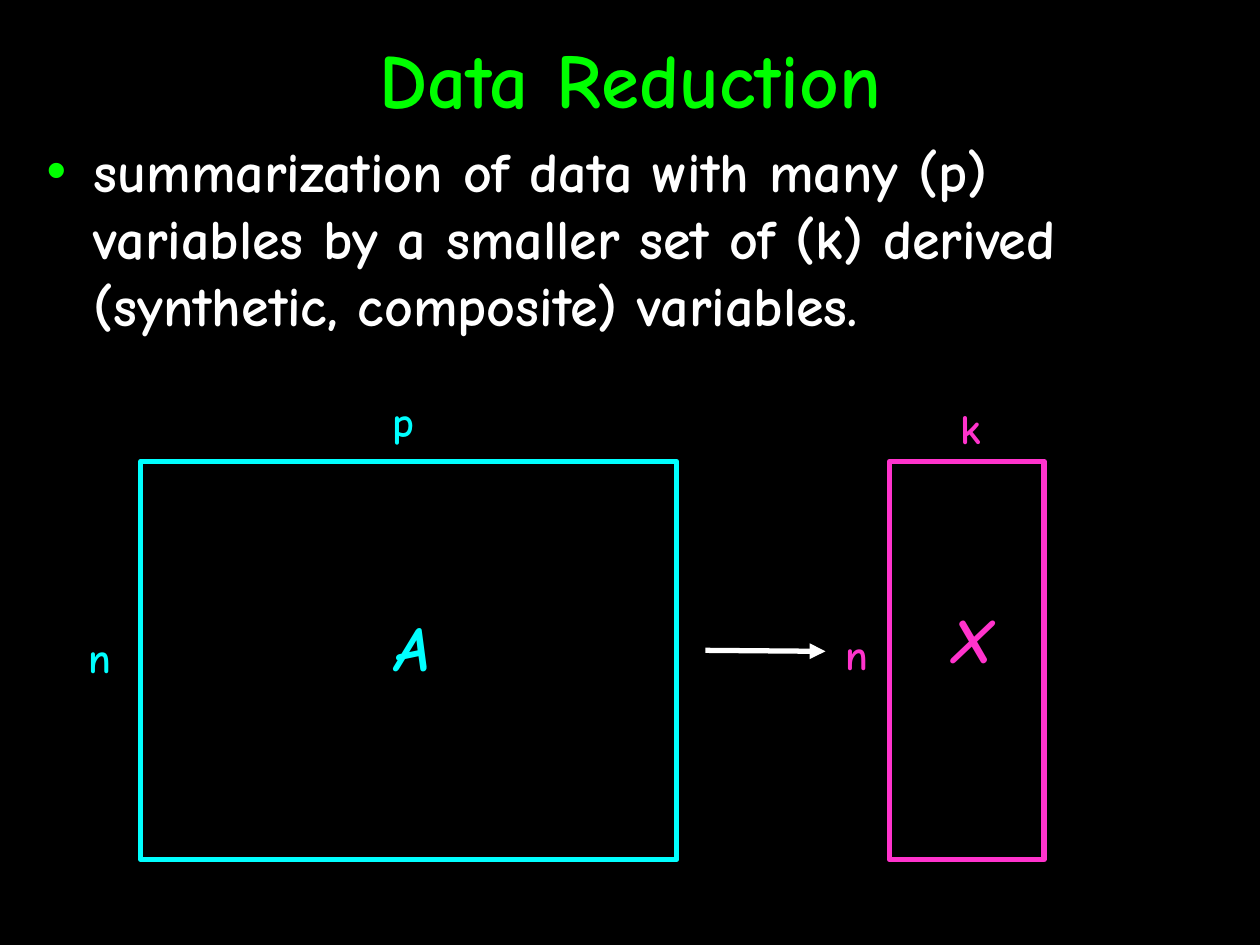
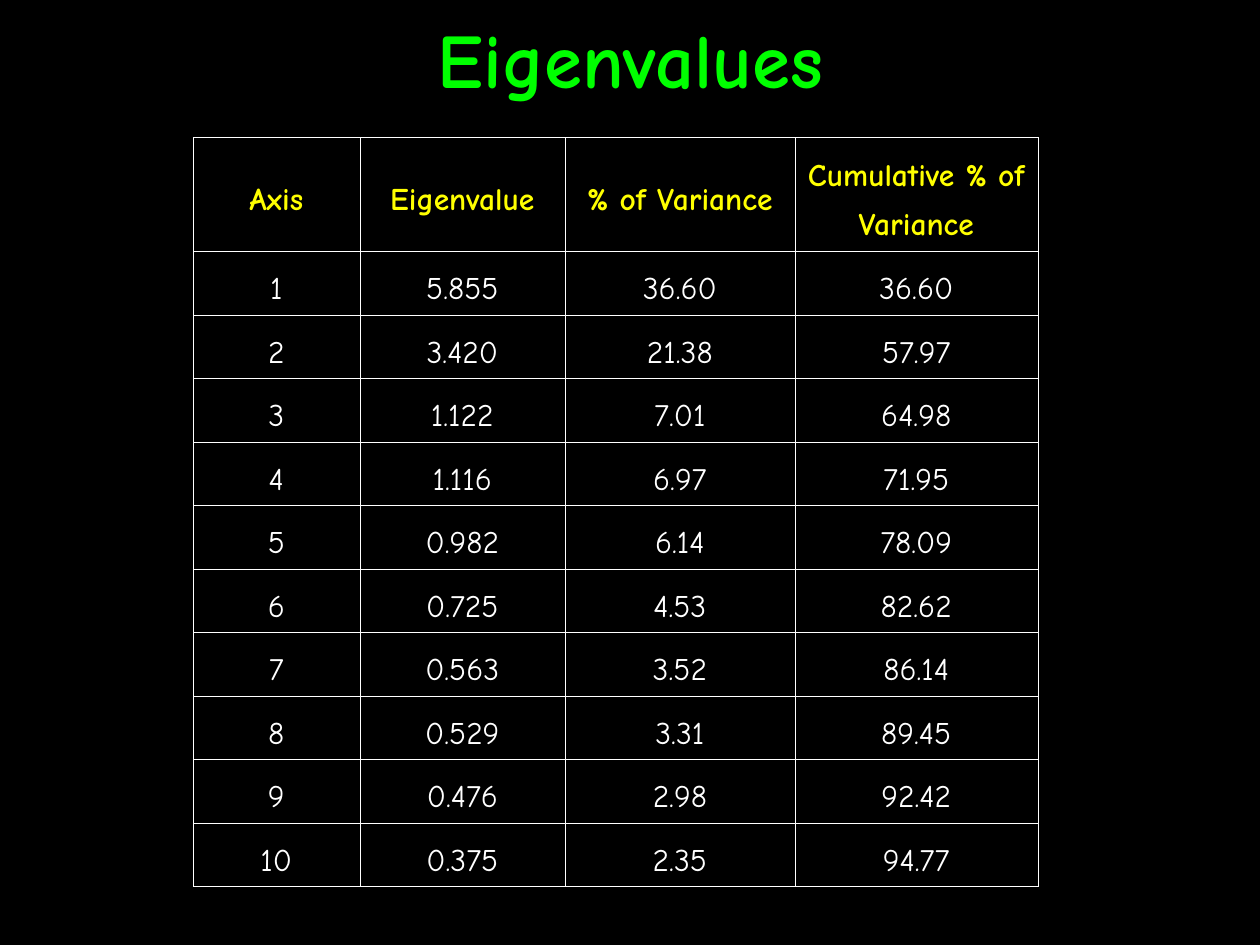
from lxml.etree import SubElement
from pptx import Presentation
from pptx.dml.color import RGBColor
from pptx.enum.shapes import MSO_CONNECTOR as Connector, MSO_SHAPE as Preset
from pptx.enum.text import MSO_ANCHOR as Anchor, MSO_AUTO_SIZE as AutoSize, PP_ALIGN as Align
from pptx.oxml.ns import qn
from pptx.util import Cm, Pt

BLACK = RGBColor(0x00, 0x00, 0x00)
WHITE = RGBColor(0xFF, 0xFF, 0xFF)
GREEN = RGBColor(0x00, 0xFF, 0x00)
CYAN = RGBColor(0x00, 0xFF, 0xFF)
PINK = RGBColor(0xFF, 0x33, 0xCC)
YELLOW = RGBColor(0xFF, 0xFF, 0x00)

HEADINGS = ("Axis", "Eigenvalue", "% of Variance", "Cumulative % of Variance")
EIGENVALUES = (
    ("1", "5.855", "36.60", "36.60"),
    ("2", "3.420", "21.38", "57.97"),
    ("3", "1.122", "7.01", "64.98"),
    ("4", "1.116", "6.97", "71.95"),
    ("5", "0.982", "6.14", "78.09"),
    ("6", "0.725", "4.53", "82.62"),
    ("7", "0.563", "3.52", "86.14"),
    ("8", "0.529", "3.31", "89.45"),
    ("9", "0.476", "2.98", "92.42"),
    ("10", "0.375", "2.35", "94.77"),
)


class Lecture:
    """Holds the lecture's style and the slide being built."""

    font_name = "Comic Neue"
    line_width = Pt(3)

    def __init__(self):
        self.deck = Presentation()
        self.deck.slide_width, self.deck.slide_height = Cm(25.4), Cm(19.05)
        fill = self.deck.slide_master.background.fill
        fill.solid()
        fill.fore_color.rgb = BLACK
        self.page = None

    def style(self, para, size, color, bold=True, italic=False, align=Align.CENTER):
        para.alignment = align
        font = para.font
        font.name, font.size = self.font_name, Pt(size)
        font.bold, font.italic = bold, italic
        font.color.rgb = color

    def add_page(self, title, title_height):
        self.page = self.deck.slides.add_slide(self.deck.slide_layouts[5])
        box = self.page.shapes.title
        box.left, box.top = Cm(0.25), Cm(0)
        box.width, box.height = Cm(24.92), Cm(title_height)
        frame = box.text_frame
        frame.text = title
        frame.auto_size = AutoSize.NONE
        frame.vertical_anchor = Anchor.MIDDLE
        self.style(frame.paragraphs[0], 44, GREEN)

    def add_bullet(self, text, left, top, width, height):
        box = self.page.shapes.add_textbox(Cm(left), Cm(top), Cm(width), Cm(height))
        box.text_frame.word_wrap = True
        para = box.text_frame.paragraphs[0]
        para.text = text
        para.space_before = Pt(20)
        self.style(para, 32, WHITE, align=Align.LEFT)
        properties = para._p.get_or_add_pPr()
        properties.set("marL", str(Cm(0.95)))
        properties.set("indent", str(-Cm(0.95)))
        bullet_color = SubElement(properties, qn("a:buClr"))
        SubElement(bullet_color, qn("a:srgbClr"), val=str(GREEN))
        SubElement(properties, qn("a:buFont"), typeface="Arial")
        SubElement(properties, qn("a:buChar"), char="•")
        properties.append(properties.find(qn("a:defRPr")))

    def add_label(self, text, center, top, color, size=24, italic=False):
        width = 1.2
        box = self.page.shapes.add_textbox(
            Cm(center - width / 2), Cm(top), Cm(width), Cm(size * 0.05))
        box.text_frame.word_wrap = False
        para = box.text_frame.paragraphs[0]
        para.text = text
        self.style(para, size, color, italic=italic)

    def add_matrix(self, left, width, color):
        box = self.page.shapes.add_shape(
            Preset.RECTANGLE, Cm(left), Cm(9.3), Cm(width), Cm(8.03))
        box.shadow.inherit = False
        box.fill.background()
        box.line.color.rgb = color
        box.line.width = self.line_width

    def add_arrow(self, start, end):
        arrow = self.page.shapes.add_connector(
            Connector.STRAIGHT, *(Cm(value) for value in start + end))
        arrow.line.color.rgb = WHITE
        arrow.line.width = self.line_width
        SubElement(arrow.line._get_or_add_ln(), qn("a:tailEnd"), type="triangle")
        SubElement(arrow._element.spPr, qn("a:effectLst"))

    def add_borders(self, cell):
        properties = cell._tc.get_or_add_tcPr()
        for side in ("lnL", "lnR", "lnT", "lnB"):
            line = SubElement(properties, qn(f"a:{side}"), w=str(Pt(0.11)))
            SubElement(SubElement(line, qn("a:solidFill")), qn("a:srgbClr"), val=str(WHITE))

    def add_table(self, headings, records, left, top, widths, heading_height, row_height):
        rows = (headings, *records)
        heights = [heading_height] + [row_height] * len(records)
        table = self.page.shapes.add_table(
            len(rows), len(widths), Cm(left), Cm(top),
            Cm(sum(widths)), Cm(sum(heights))).table
        table.first_row = table.horz_banding = False
        for column, width in zip(table.columns, widths):
            column.width = Cm(width)
        for row, height, texts in zip(table.rows, heights, rows):
            row.height = Cm(height)
            is_heading = texts is headings
            for cell, text in zip(row.cells, texts):
                cell.text = text
                cell.vertical_anchor = Anchor.MIDDLE
                para = cell.text_frame.paragraphs[0]
                para.line_spacing = 1.34
                self.style(para, 18, YELLOW if is_heading else WHITE, bold=is_heading)
                self.add_borders(cell)
                cell.fill.background()


def main():
    lecture = Lecture()

    lecture.add_page("Data Reduction", 3.15)
    lecture.add_bullet(
        "summarization of data with many (p) variables by a smaller set of (k) "
        "derived (synthetic, composite) variables.", 0.69, 2.62, 24.03, 4.37)
    lecture.add_arrow((14.22, 13.11), (16.64, 13.13))
    lecture.add_matrix(2.84, 10.8, CYAN)
    lecture.add_label("n", 2.01, 12.6, CYAN)
    lecture.add_label("p", 8.14, 7.85, CYAN)
    lecture.add_label("A", 8.32, 12.14, CYAN, size=36, italic=True)
    lecture.add_matrix(17.93, 3.12, PINK)
    lecture.add_label("n", 17.27, 12.55, PINK)
    lecture.add_label("k", 19.56, 7.98, PINK)
    lecture.add_label("X", 19.55, 11.99, PINK, size=36, italic=True)

    lecture.add_page("Eigenvalues", 2.31)
    lecture.add_table(HEADINGS, EIGENVALUES, 3.89, 2.77,
                      widths=(3.36, 4.14, 4.63, 4.9),
                      heading_height=2.3, row_height=1.28)

    lecture.deck.save("out.pptx")


if __name__ == "__main__":
    main()
